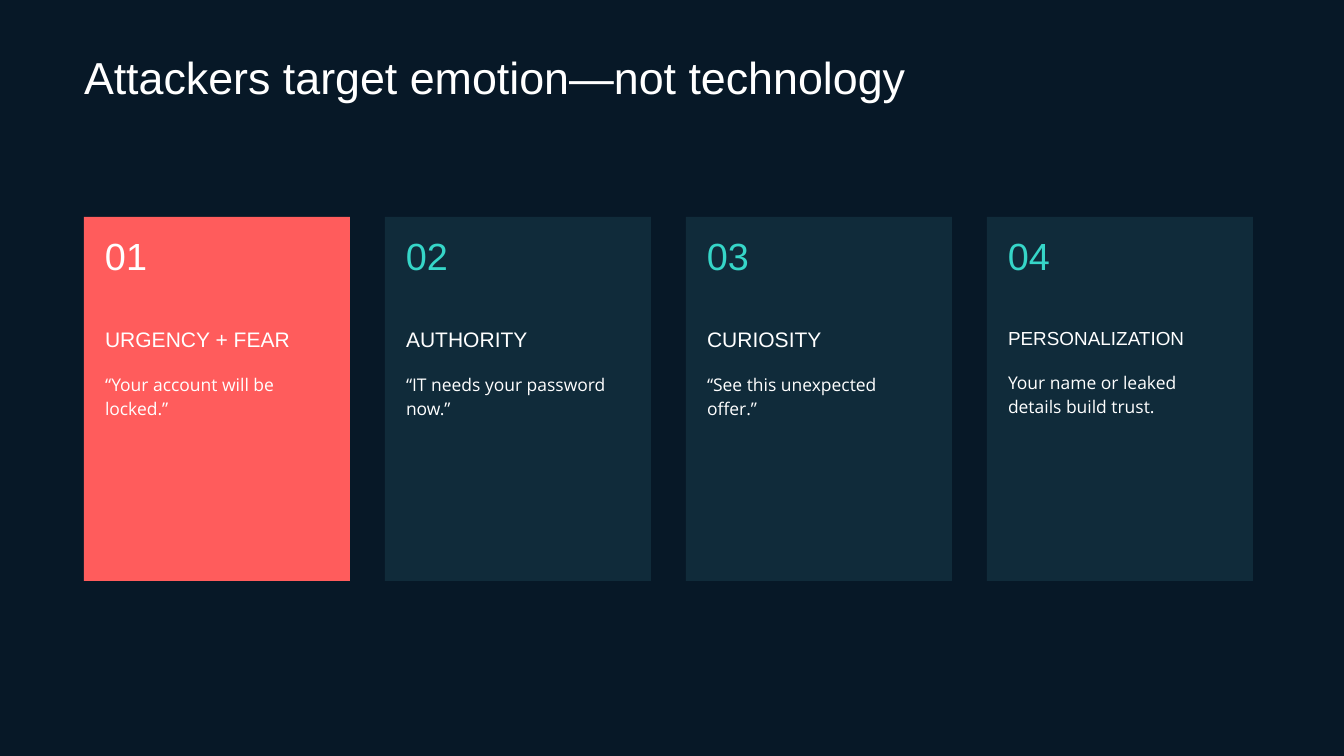
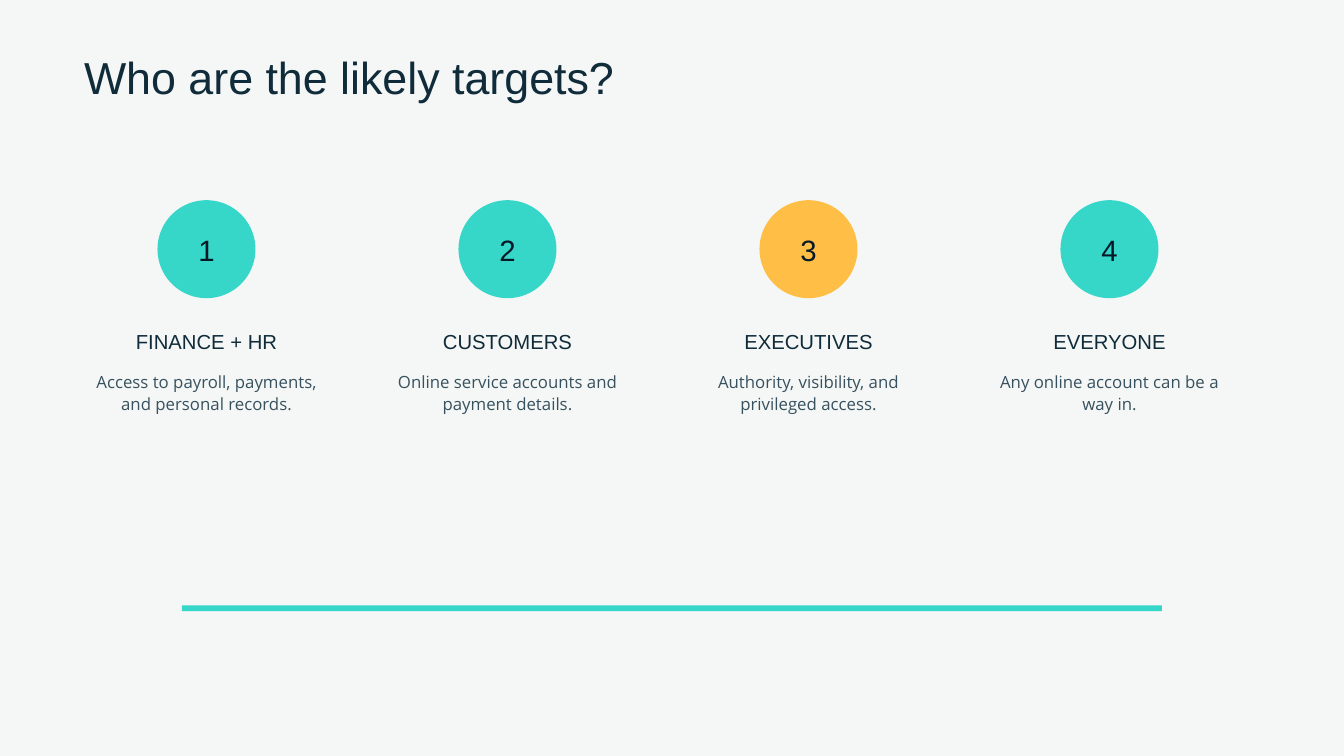
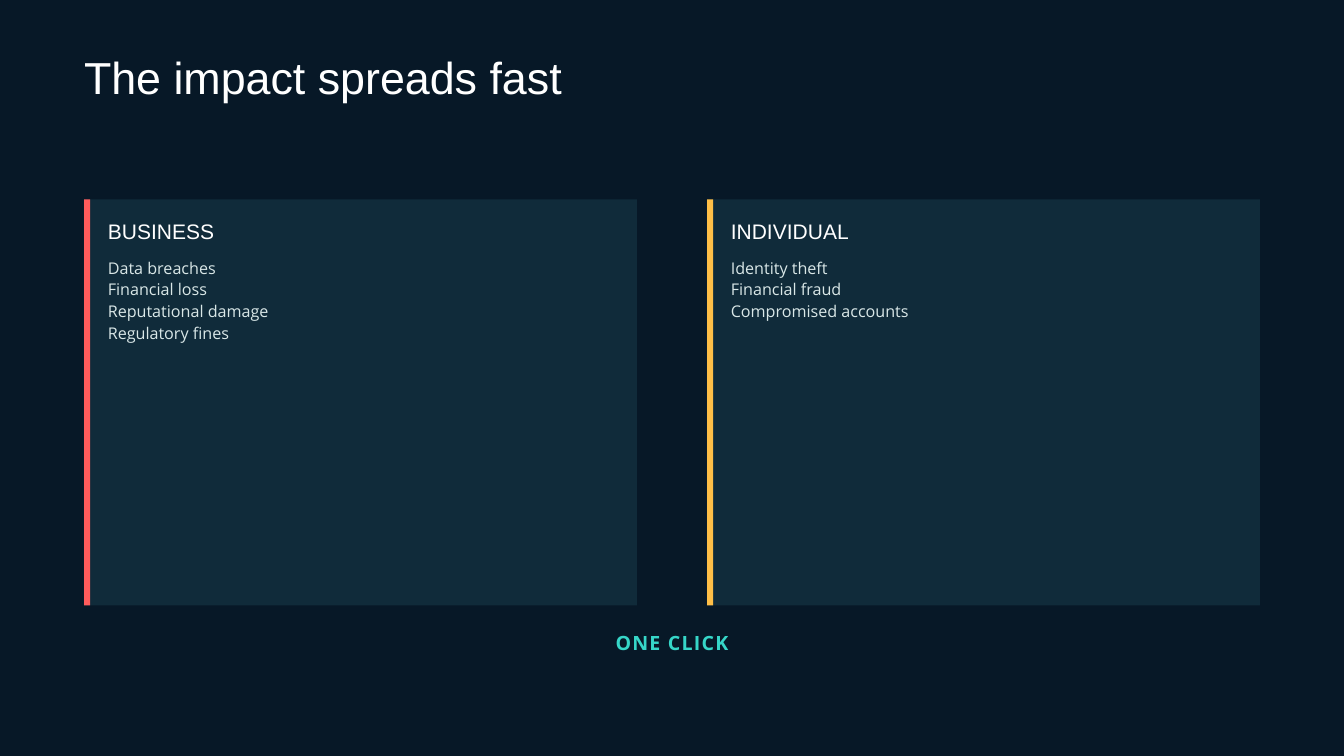
from lxml import etree
from pptx import Presentation
from pptx.dml.color import RGBColor
from pptx.enum.shapes import MSO_SHAPE as SHAPE
from pptx.enum.text import MSO_ANCHOR as ANCHOR, MSO_AUTO_SIZE as AUTO_SIZE, PP_ALIGN as ALIGN
from pptx.oxml.ns import qn
from pptx.util import Pt

COLORS = {
    "night": "071827",
    "navy": "102B3A",
    "paper": "F4F7F6",
    "white": "FFFFFF",
    "mist": "D9E7E7",
    "slate": "38515E",
    "teal": "36D6C8",
    "coral": "FF5C5C",
    "amber": "FFBF47",
}
HEAD, BODY = "Arial", "Open Sans"
SLIDE_W, SLIDE_H = 1440, 810
MARGIN = 90
COLUMN_STEP = 322.5
TITLE_ONLY, TWO_CONTENT = 5, 3

TACTICS = [
    ("URGENCY + FEAR", "“Your account will be locked.”"),
    ("AUTHORITY", "“IT needs your password now.”"),
    ("CURIOSITY", "“See this unexpected offer.”"),
    ("PERSONALIZATION", "Your name or leaked details build trust."),
]
TARGETS = [
    ("FINANCE + HR", "Access to payroll, payments, and personal records.", "teal"),
    ("CUSTOMERS", "Online service accounts and payment details.", "teal"),
    ("EXECUTIVES", "Authority, visibility, and privileged access.", "amber"),
    ("EVERYONE", "Any online account can be a way in.", "teal"),
]
IMPACTS = [
    ("BUSINESS", "coral",
     ["Data breaches", "Financial loss", "Reputational damage", "Regulatory fines"]),
    ("INDIVIDUAL", "amber",
     ["Identity theft", "Financial fraud", "Compromised accounts"]),
]


def rgb(name):
    return RGBColor.from_string(COLORS[name])


def write(tf, *lines, size, leading, color="white", font=BODY, align=ALIGN.LEFT,
          anchor=ANCHOR.TOP, bold=False, spacing=0, insets=(0, 0, 0, 0)):
    """Fill a text frame with one paragraph per line; leading and insets are in points."""
    tf.word_wrap = True
    tf.auto_size = AUTO_SIZE.NONE
    tf.vertical_anchor = anchor
    tf.margin_left, tf.margin_top, tf.margin_right, tf.margin_bottom = map(Pt, insets)
    for i, line in enumerate(lines):
        p = tf.add_paragraph() if i else tf.paragraphs[0]
        pPr = p._p.get_or_add_pPr()
        pPr.set("marL", "0")
        pPr.set("indent", "0")
        etree.SubElement(pPr, qn("a:buNone"))
        p.alignment = align
        p.line_spacing = Pt(leading)
        p.space_before = Pt(0)
        r = p.add_run()
        r.text = line
        r.font.name, r.font.size, r.font.bold = font, Pt(size), bold
        r.font.color.rgb = rgb(color)
        if spacing:
            r._r.get_or_add_rPr().set("spc", str(round(spacing * 100)))


class Deck:
    def __init__(self):
        self.prs = Presentation()
        self.prs.slide_width, self.prs.slide_height = Pt(SLIDE_W), Pt(SLIDE_H)
        self.s = None

    def slide(self, title, back="night", color="white", layout=TITLE_ONLY):
        self.s = self.prs.slides.add_slide(self.prs.slide_layouts[layout])
        self.s.background.fill.solid()
        self.s.background.fill.fore_color.rgb = rgb(back)
        self.placeholder(0, MARGIN, 62, 1125, 50.5, title,
                         size=48, leading=49, font=HEAD, color=color)

    def placeholder(self, idx, x, y, w, h, *lines, **fmt):
        sp = self.s.placeholders[idx]
        sp.left, sp.top, sp.width, sp.height = map(Pt, (x, y, w, h))
        write(sp.text_frame, *lines, **fmt)

    def text(self, x, y, w, h, text, **fmt):
        sp = self.s.shapes.add_textbox(*map(Pt, (x, y, w, h)))
        write(sp.text_frame, text, **fmt)

    def shape(self, x, y, w, h, fill, kind=SHAPE.RECTANGLE):
        sp = self.s.shapes.add_shape(kind, *map(Pt, (x, y, w, h)))
        sp.shadow.inherit = False
        sp.fill.solid()
        sp.fill.fore_color.rgb = rgb(fill)
        sp.line.fill.background()
        return sp

    def tactic_card(self, i, name, example):
        x = MARGIN + i * COLUMN_STEP
        inner = x + 22.5
        first = i == 0
        long_name = len(name) > 14
        size, leading = (20.25, 20.6) if long_name else (22.5, 22.9)
        self.shape(x, 232.5, 285, 390, "coral" if first else "navy")
        self.text(inner, 257, 75, 45, f"{i + 1:02}", size=40.5, leading=41.3,
                  font=HEAD, color="white" if first else "teal")
        self.text(inner, 354, 240, 25, name, size=size, leading=leading, font=HEAD)
        self.text(inner, 396 if long_name else 398.25, 240, 48, example,
                  size=18.75, leading=25.3)

    def target_column(self, i, name, reason, fill):
        x, w, d = MARGIN + i * COLUMN_STEP, 262.5, 105
        circle = self.shape(x + (w - d) / 2, 214.5, d, d, fill, SHAPE.OVAL)
        write(circle.text_frame, str(i + 1), size=31.5, leading=44.1, font=HEAD,
              color="night", align=ALIGN.CENTER, anchor=ANCHOR.MIDDLE, insets=(0, 0, 0, 4.4))
        self.text(x, 357, w, 24, name, size=21.75, leading=22.2, font=HEAD,
                  color="navy", align=ALIGN.CENTER)
        self.text(x, 395.25, w, 46, reason, size=18, leading=24.3,
                  color="slate", align=ALIGN.CENTER)

    def impact_panel(self, i, name, accent, effects):
        x, y, h = MARGIN + i * 667.5, 213.75, 435
        self.shape(x, y, 592.5, h, "navy")
        self.shape(x, y, 6.5, h, accent)
        self.text(x + 25.5, 237.75, 541.5, 25, name, size=22.5, leading=22.9, font=HEAD)
        # Panels are drawn over the placeholder, so the list is lifted above them.
        self.placeholder(i + 1, x + 25.5, 273.75, 541.5, 23 * len(effects), *effects,
                         size=17.25, leading=23.3, color="mist")
        self.s.shapes._spTree.append(self.s.placeholders[i + 1]._element)


def main():
    deck = Deck()

    deck.slide("Attackers target emotion—not technology")
    for i, tactic in enumerate(TACTICS):
        deck.tactic_card(i, *tactic)

    deck.slide("Who are the likely targets?", back="paper", color="navy")
    for i, target in enumerate(TARGETS):
        deck.target_column(i, *target)
    deck.shape((SLIDE_W - 1050) / 2, 648.75, 1050, 6, "teal")

    deck.slide("The impact spreads fast", layout=TWO_CONTENT)
    for i, impact in enumerate(IMPACTS):
        deck.impact_panel(i, *impact)
    deck.text((SLIDE_W - 210) / 2, 671.75, 210, 28, "ONE CLICK", size=21, leading=29.4,
              color="teal", align=ALIGN.CENTER, bold=True, spacing=1.3)

    deck.prs.save("out.pptx")


if __name__ == "__main__":
    main()
